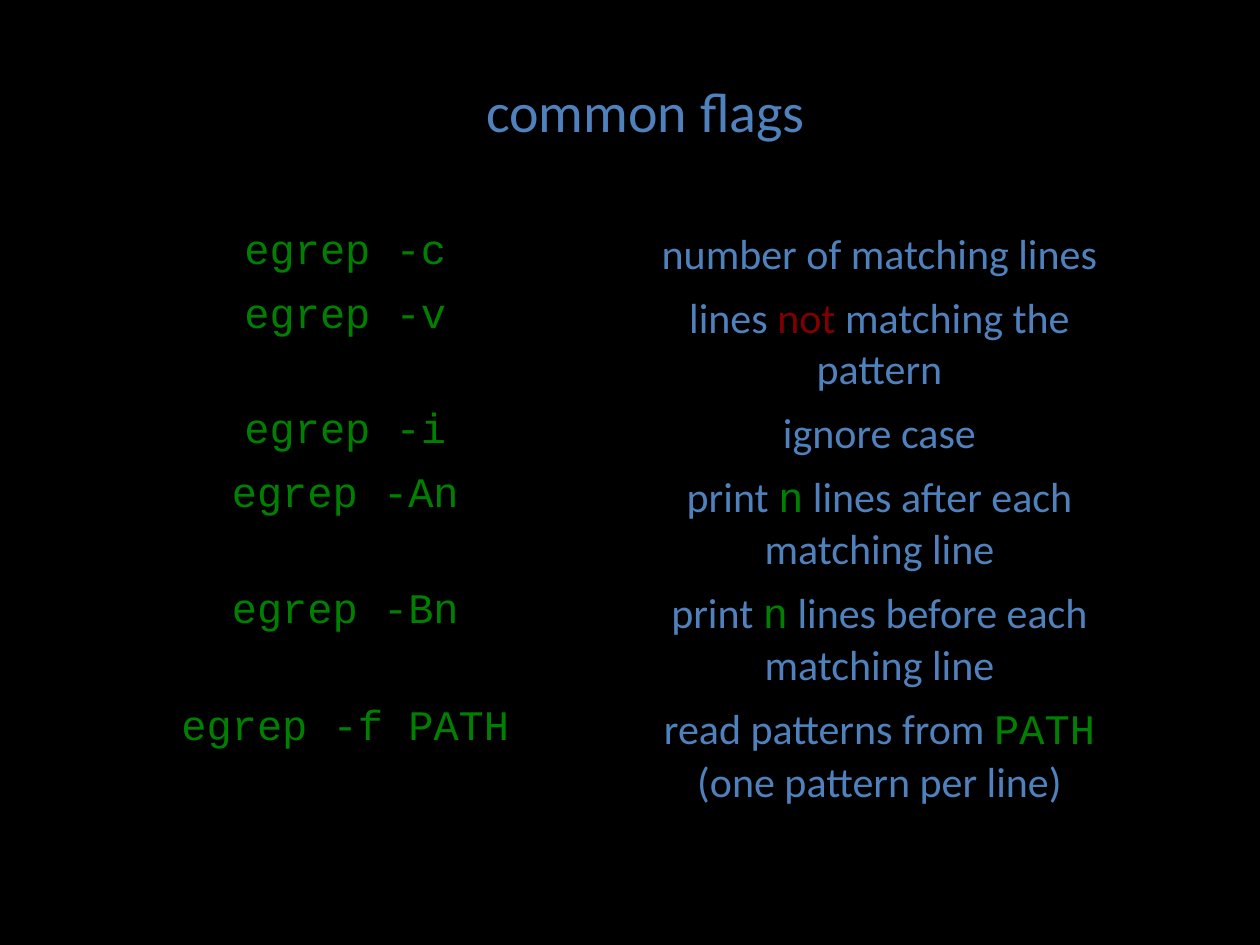
from pptx import Presentation
from pptx.dml.color import RGBColor
from pptx.enum.text import MSO_AUTO_SIZE, PP_ALIGN
from pptx.oxml.ns import qn
from pptx.util import Inches, Pt

BLACK = RGBColor(0x00, 0x00, 0x00)
BLUE = RGBColor(0x4F, 0x81, 0xBD)
GREEN = RGBColor(0x00, 0x80, 0x00)
RED = RGBColor(0x80, 0x00, 0x00)

# Each kind of text: font and colour
PLAIN = ("Calibri", BLUE)
STRONG = ("Calibri", RED)
CODE = ("Courier New", GREEN)

NO_TABLE_STYLE = "{2D5ABB26-0587-4C30-8999-92F81FD0307C}"

FLAGS = [
    ("egrep -c", [("number of matching lines", PLAIN)]),
    ("egrep -v", [("lines ", PLAIN), ("not", STRONG),
                  (" matching the pattern", PLAIN)]),
    ("egrep -i", [("ignore case", PLAIN)]),
    ("egrep -An", [("print ", PLAIN), ("n", CODE),
                   (" lines after each matching line", PLAIN)]),
    ("egrep -Bn", [("print ", PLAIN), ("n", CODE),
                   (" lines before each matching line", PLAIN)]),
    ("egrep -f PATH", [("read patterns from ", PLAIN), ("PATH", CODE),
                       (" (one pattern per line)", PLAIN)]),
]


class SlideBuilder:
    """Holds the text sizes and the current slide."""

    title_size = Pt(32)
    body_size = Pt(24)

    def __init__(self, page):
        self.page = page

    def background(self, color):
        fill = self.page.background.fill
        fill.solid()
        fill.fore_color.rgb = color

    def add_spans(self, para, spans, size):
        para.alignment = PP_ALIGN.CENTER
        for text, (font_name, color) in spans:
            span = para.add_run()
            span.text = text
            span.font.name = font_name
            span.font.size = size
            span.font.color.rgb = color

    def title(self, text, left, top, width, height):
        box = self.page.shapes.add_textbox(left, top, width, height)
        frame = box.text_frame
        frame.word_wrap = True
        frame.auto_size = MSO_AUTO_SIZE.SHAPE_TO_FIT_TEXT
        self.add_spans(frame.paragraphs[0], [(text, PLAIN)], self.title_size)

    def table(self, rows, left, top, width, row_height):
        frame = self.page.shapes.add_table(
            len(rows), len(rows[0]), left, top, width, row_height * len(rows))
        table = frame.table
        table.first_row = False
        table.horz_banding = False
        # A style without borders or fills
        properties = table._tbl.tblPr
        properties.find(qn("a:tableStyleId")).text = NO_TABLE_STYLE
        for row_index, row in enumerate(rows):
            for column_index, spans in enumerate(row):
                cell = table.cell(row_index, column_index)
                cell.fill.background()
                self.add_spans(cell.text_frame.paragraphs[0], spans, self.body_size)


def main():
    deck = Presentation()
    deck.slide_width = Inches(10)
    deck.slide_height = Inches(7.5)
    builder = SlideBuilder(deck.slides.add_slide(deck.slide_layouts[6]))
    builder.background(BLACK)

    # Flags and their meaning
    rows = [([(command, CODE)], meaning) for command, meaning in FLAGS]
    builder.table(rows, Inches(0.62), Inches(1.77), Inches(8.48), Inches(0.41))

    # Heading
    builder.title("common flags", Inches(1.81), Inches(0.56),
                  Inches(6.63), Inches(0.64))

    deck.save("out.pptx")


if __name__ == "__main__":
    main()
